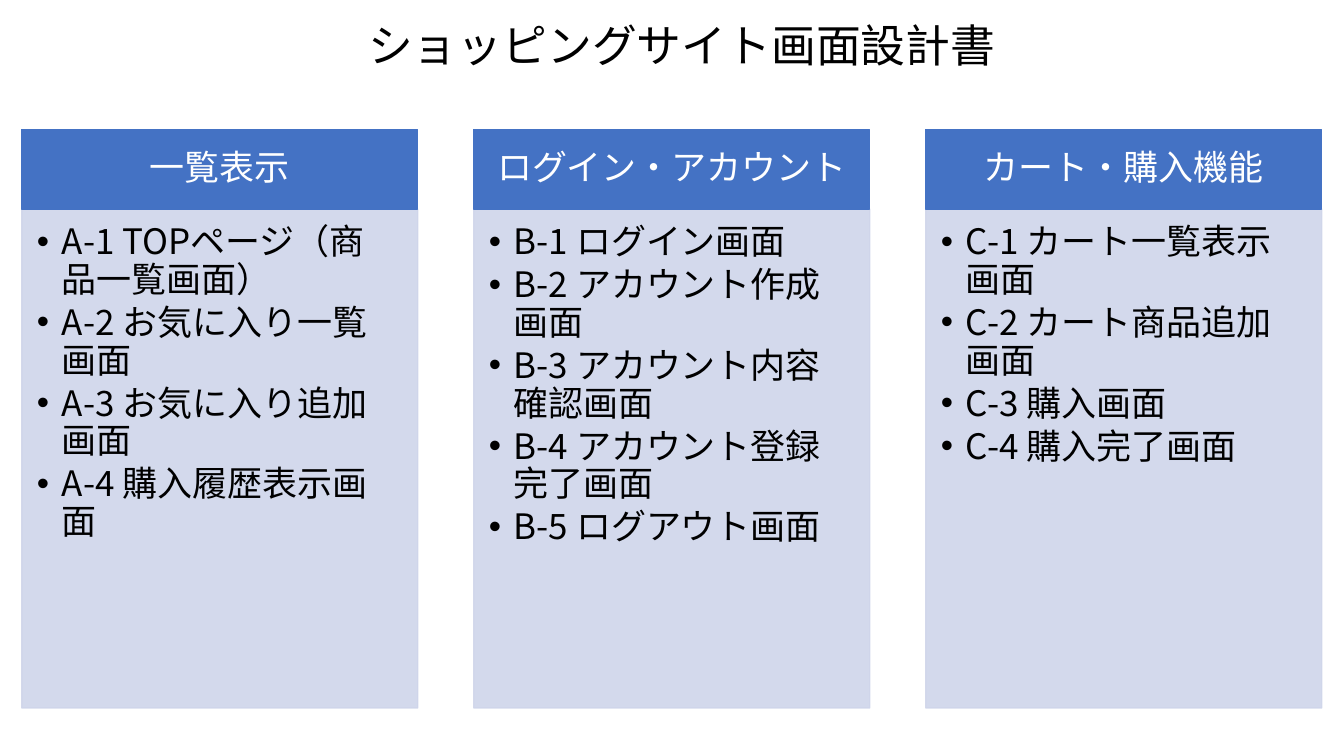
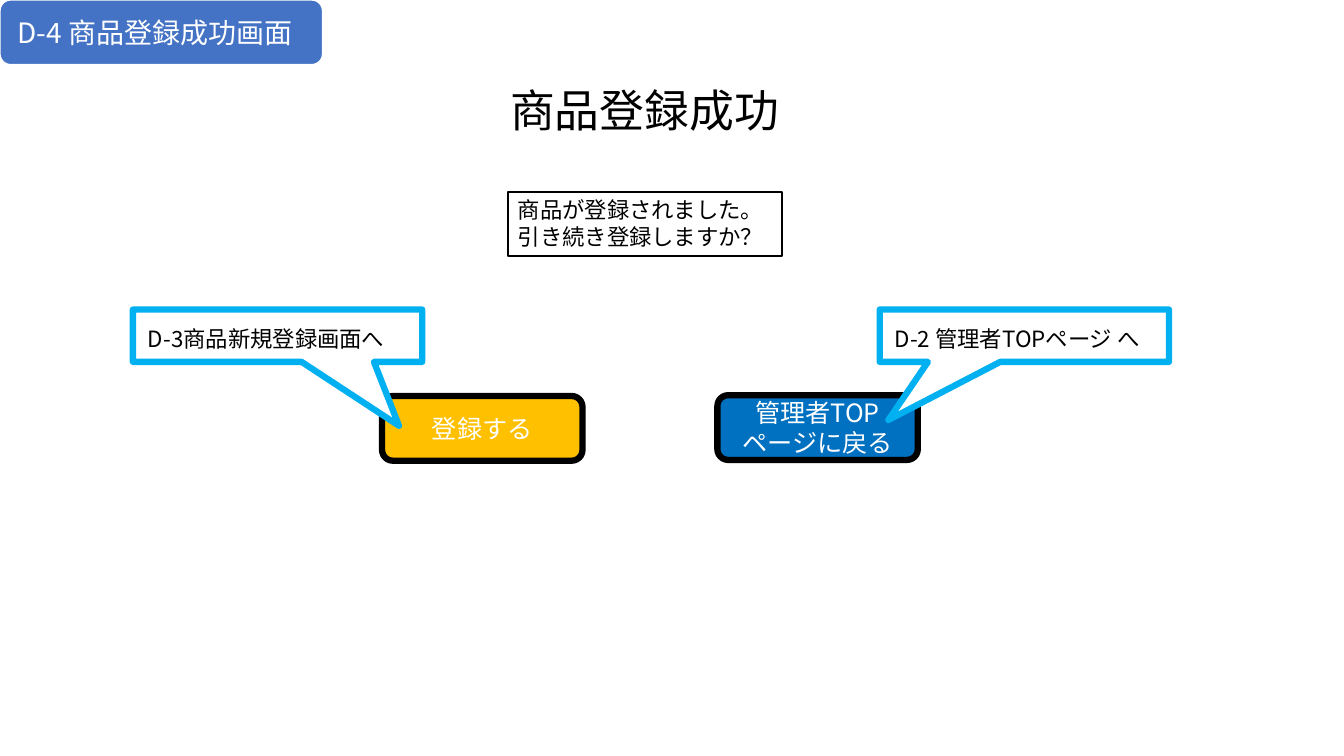
from pptx import Presentation
from pptx.dml.color import RGBColor
from pptx.enum.shapes import MSO_SHAPE as Preset
from pptx.enum.text import MSO_ANCHOR as Anchor, MSO_AUTO_SIZE as AutoSize, PP_ALIGN as Align
from pptx.oxml.ns import qn
from pptx.util import Cm, Pt
from lxml.etree import SubElement

FONT = "Noto Sans CJK JP"
COLORS = {
    "text": "000000",
    "white": "FFFFFF",
    "header": "4472C4",
    "panel": "CFD5EA",
    "primary": "FFC000",
    "secondary": "0070C0",
    "callout": "00B0F0",
}
COMPARISON_LAYOUT, TITLE_ONLY_LAYOUT = 4, 5

FRAME = {"word_wrap": True, "auto_size": AutoSize.NONE, "vertical_anchor": Anchor.TOP}
CENTERED_FRAME = {"vertical_anchor": Anchor.MIDDLE}
PARAGRAPH = {"alignment": Align.LEFT, "space_before": Pt(0)}
CENTERED = {"alignment": Align.CENTER}
TIGHT = {"line_spacing": 0.9}

COLUMNS = [
    ("一覧表示", [
        "A-1 TOPページ（商品一覧画面）",
        "A-2 お気に入り一覧画面",
        "A-3 お気に入り追加画面",
        "A-4 購入履歴表示画面",
    ]),
    ("ログイン・アカウント", [
        "B-1 ログイン画面",
        "B-2 アカウント作成画面",
        "B-3 アカウント内容確認画面",
        "B-4 アカウント登録完了画面",
        "B-5 ログアウト画面",
    ]),
    ("カート・購入機能", [
        "C-1 カート一覧表示画面",
        "C-2 カート商品追加画面",
        "C-3 購入画面",
        "C-4 購入完了画面",
    ]),
]


def rgb(name):
    return RGBColor.from_string(COLORS[name])


def apply(target, values):
    for name, value in values.items():
        setattr(target, name, value)


def place(shape, left, top, width, height):
    apply(shape, {"left": Cm(left), "top": Cm(top), "width": Cm(width), "height": Cm(height)})


def paint(shape, fill, line, line_width):
    shape.shadow.inherit = False
    if fill:
        shape.fill.solid()
        shape.fill.fore_color.rgb = rgb(fill)
    else:
        shape.fill.background()
    shape.line.color.rgb = rgb(line)
    shape.line.width = Pt(line_width)


def add_box(slide, preset, box, fill, line, line_width):
    shape = slide.shapes.add_shape(preset, *map(Cm, box))
    paint(shape, fill, line, line_width)
    return shape


def write(shape, lines, size, color="text", frame={}, paragraph={}):
    """Fill the shape with one paragraph per line, in the shared font."""
    text_frame = shape.text_frame
    apply(text_frame, FRAME | frame)
    for index, line in enumerate(lines):
        item = text_frame.add_paragraph() if index else text_frame.paragraphs[0]
        apply(item, PARAGRAPH | paragraph)
        run = item.add_run()
        run.text = line
        apply(run.font, {"name": FONT, "size": Pt(size), "bold": False})
        run.font.color.rgb = rgb(color)
        SubElement(run._r.get_or_add_rPr(), qn("a:ea"), typeface=FONT)


def add_bullets(shape):
    for paragraph in shape.text_frame.paragraphs:
        properties = paragraph._p.get_or_add_pPr()
        indent = Cm(0.63)
        properties.set("marL", str(indent))
        properties.set("indent", str(-indent))
        SubElement(properties, qn("a:buFont"), typeface="Arial")
        SubElement(properties, qn("a:buChar"), char="•")


def set_opacity(shape, percent):
    for color in shape._element.spPr.iter(qn("a:srgbClr")):
        SubElement(color, qn("a:alpha"), val=str(percent * 1000))


def add_title(slide, text, box):
    place(slide.shapes.title, *box)
    write(slide.shapes.title, [text], 32)


def add_column(slide, panel, heading, items, box):
    """Stack a heading band on the list placeholder inside the box."""
    left, top, width, height = box
    band_height = 2
    band = add_box(slide, Preset.RECTANGLE, (left, top, width, band_height), "header", "header", 1)
    write(band, [heading], 25, "white", CENTERED_FRAME, CENTERED | TIGHT)

    place(panel, left, top + band_height, width, height - band_height)
    paint(panel, "panel", "panel", 1)
    set_opacity(panel, 90)
    margins = {"margin_left": Cm(0.38), "margin_top": Cm(0.38),
               "margin_right": Cm(0.48), "margin_bottom": Cm(0.56)}
    write(panel, items, 25, frame=margins, paragraph=TIGHT | {"space_after": Pt(3.75)})
    add_bullets(panel)


def add_screen_tag(slide, text, box):
    tag = add_box(slide, Preset.ROUNDED_RECTANGLE, box, "header", "white", 1)
    write(tag, [text], 20, "white", CENTERED_FRAME | {"margin_left": Cm(0.36)})


def add_button(slide, text, box, fill):
    button = add_box(slide, Preset.FLOWCHART_ALTERNATE_PROCESS, box, fill, "text", 4.5)
    write(button, [text], 18, "white", CENTERED_FRAME, CENTERED)


def add_callout(slide, text, box, tip):
    """Draw a callout whose tip is given as fractions of the box from its centre."""
    callout = add_box(slide, Preset.RECTANGULAR_CALLOUT, box, "white", "callout", 4.5)
    for index, value in enumerate(tip):
        callout.adjustments[index] = value
    margins = {"margin_left": Cm(0.38), "margin_top": Cm(0.4),
               "margin_right": 0, "margin_bottom": 0}
    write(callout, [text], 16, frame=margins)


def build_overview(presentation):
    slide = presentation.slides.add_slide(presentation.slide_layouts[COMPARISON_LAYOUT])
    add_title(slide, "ショッピングサイト画面設計書", (9.02, 0.33, 16.84, 1.63))
    *panels, spare = list(slide.placeholders)[1:5]
    spare._element.getparent().remove(spare._element)
    left, pitch = 0.55, 11.39
    for index, (panel, (heading, items)) in enumerate(zip(panels, COLUMNS)):
        add_column(slide, panel, heading, items, (left + index * pitch, 3.27, 9.98, 14.57))


def build_success_screen(presentation):
    slide = presentation.slides.add_slide(presentation.slide_layouts[TITLE_ONLY_LAYOUT])
    add_screen_tag(slide, "D-4 商品登録成功画面", (0, 0, 8.13, 1.63))
    add_title(slide, "商品登録成功", (12.6, 1.96, 8.69, 1.63))
    message = add_box(slide, Preset.RECTANGLE, (12.8, 4.83, 6.91, 1.63), None, "text", 1.5)
    write(message, ["商品が登録されました。", "引き続き登録しますか？"], 16)

    button_size, callout_size = (5.05, 1.63), (7.29, 1.32)
    add_button(slide, "管理者TOPページに戻る", (18.08, 9.96, *button_size), "secondary")
    add_button(slide, "登録する", (9.63, 9.98, *button_size), "primary")
    add_callout(slide, "D-2 管理者TOPページ へ", (22.17, 7.8, *callout_size), (-0.47, 1.61))
    add_callout(slide, "D-3商品新規登録画面へ", (3.35, 7.8, *callout_size), (0.42, 1.72))


def main():
    presentation = Presentation()
    apply(presentation, {"slide_width": Cm(33.87), "slide_height": Cm(19.05)})
    build_overview(presentation)
    build_success_screen(presentation)
    presentation.save("out.pptx")


if __name__ == "__main__":
    main()
